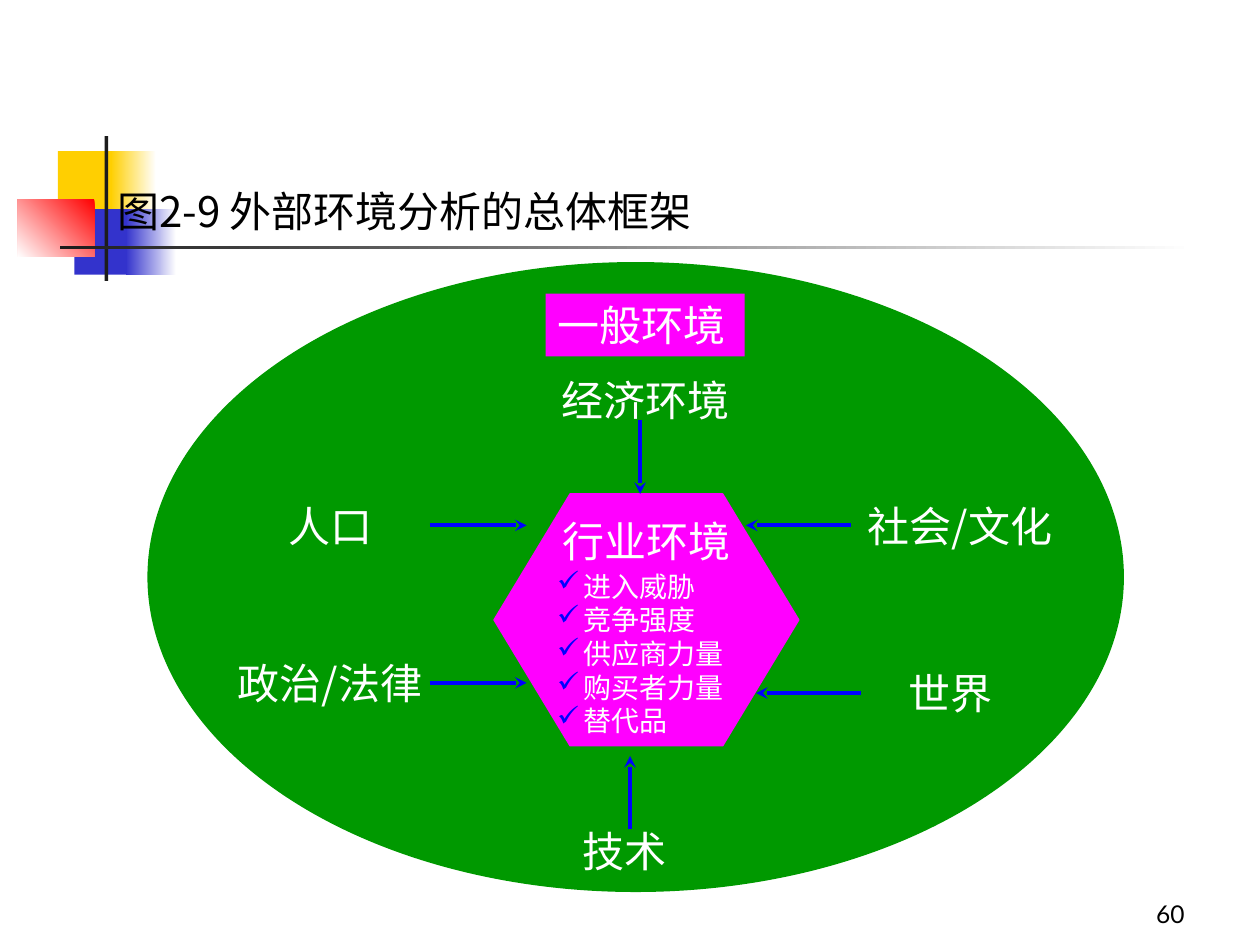
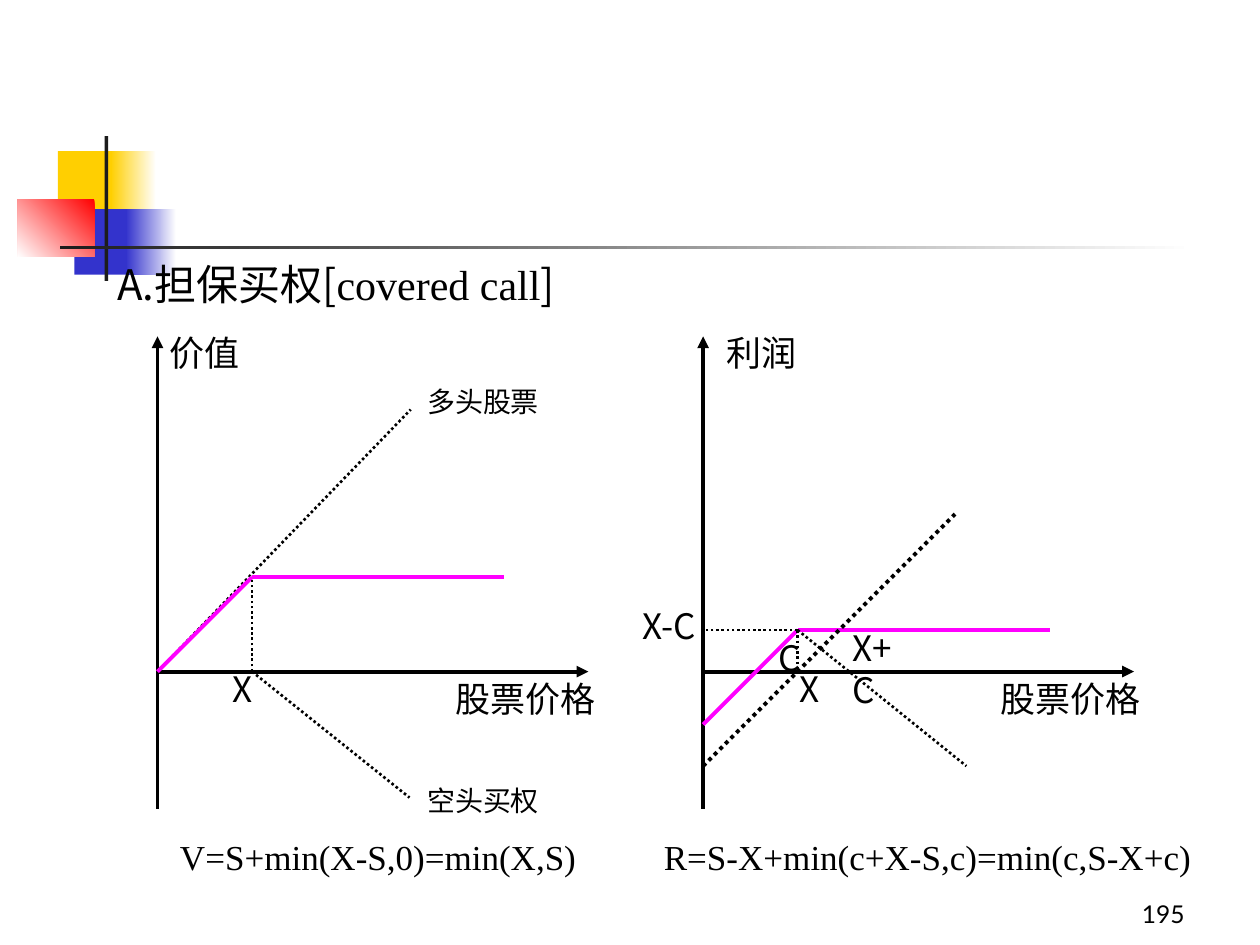
from dataclasses import dataclass

from lxml import etree
from pptx import Presentation
from pptx.dml.color import RGBColor
from pptx.enum.dml import MSO_LINE
from pptx.enum.shapes import MSO_CONNECTOR, MSO_SHAPE
from pptx.enum.text import MSO_ANCHOR, MSO_AUTO_SIZE, PP_ALIGN
from pptx.oxml.ns import qn
from pptx.util import Inches, Pt

RECTANGLE, ELLIPSE = MSO_SHAPE.RECTANGLE, MSO_SHAPE.OVAL
ROUNDED, HEXAGON = MSO_SHAPE.ROUNDED_RECTANGLE, MSO_SHAPE.HEXAGON
STRAIGHT, DOTTED = MSO_CONNECTOR.STRAIGHT, MSO_LINE.ROUND_DOT
LEFT, CENTER, RIGHT = PP_ALIGN.LEFT, PP_ALIGN.CENTER, PP_ALIGN.RIGHT
TOP, MIDDLE, BOTTOM = MSO_ANCHOR.TOP, MSO_ANCHOR.MIDDLE, MSO_ANCHOR.BOTTOM
NO_AUTOFIT = MSO_AUTO_SIZE.NONE
RIGHT_SIDE = 3

LATO, CJK, SERIF = "Lato", "Noto Sans CJK SC", "Times New Roman"
BLACK, WHITE, INK = "000000", "FFFFFF", "1C1C1C"
YELLOW, INDIGO, RED = "FFCF01", "3333CC", "FF0000"
GREEN, MAGENTA, BLUE = "009900", "FF00FF", "0000FF"


@dataclass
class Area:
    left: float
    top: float
    width: float
    height: float

    def lengths(self) -> tuple:
        return tuple(Inches(value) for value in
                     (self.left, self.top, self.width, self.height))


@dataclass
class Band:
    """A template block; a second colour makes it a gradient."""
    area: Area
    color: str
    end_color: str = ""
    angle: int = 180


@dataclass
class Factor:
    """A label of the general environment and its arrow to the hexagon."""
    text: str
    left: float
    top: float
    start: tuple
    end: tuple
    font: str = LATO
    joined: bool = False


@dataclass
class Stroke:
    start: tuple
    end: tuple
    color: str = BLACK
    width: float = 2.25
    dotted: bool = False
    arrow: str = ""


@dataclass
class Label:
    text: str
    area: Area
    size: int = 20
    font: str = CJK
    align: PP_ALIGN = LEFT


BANDS = [
    Band(Area(0.46, 1.2, 0.48, 0.52), YELLOW),
    Band(Area(0.88, 1.2, 0.36, 0.52), WHITE, YELLOW),
    Band(Area(0.59, 1.66, 0.46, 0.52), INDIGO),
    Band(Area(1, 1.66, 0.4, 0.52), WHITE, INDIGO),
    Band(Area(0.14, 1.58, 0.61, 0.46), RED, WHITE, 225),
    Band(Area(0.83, 1.08, 0.03, 1.15), INK),
    Band(Area(0.48, 1.95, 9, 0.03), WHITE, INK),
]
PAGE_NUMBER = Area(7.42, 6.92, 2.08, 0.5)

FACTORS = [
    Factor("经济环境", 4.33, 2.92, (5.08, 3.33), (5.08, 3.92)),
    Factor("人口", 1.83, 3.92, (3.42, 4.17), (4.18, 4.17), joined=True),
    Factor("政治/法律", 1.83, 5.17, (3.42, 5.42), (4.18, 5.42), CJK, True),
    Factor("社会/文化", 6.83, 3.92, (6.75, 4.17), (5.92, 4.17), CJK),
    Factor("世界", 6.75, 5.25, (6.83, 5.5), (6, 5.5)),
    Factor("技术", 4.17, 6.5, (5, 6.58), (5, 6)),
]
FORCES = ["进入威胁", "竞争强度", "供应商力量", "购买者力量", "替代品"]

AXIS_Y = 5.33
VALUE_X, PROFIT_X = 1.25, 5.58
VALUE_STRIKE, PROFIT_STRIKE = 2, 6.33
PAYOFFS = [
    Stroke((VALUE_X, AXIS_Y), (3.26, 3.25), width=1.5, dotted=True),
    Stroke((VALUE_X, AXIS_Y), (VALUE_STRIKE, 4.58), MAGENTA),
    Stroke((VALUE_STRIKE, 4.58), (4, 4.58), MAGENTA),
    Stroke((VALUE_STRIKE, AXIS_Y), (VALUE_STRIKE, 4.58), width=1.5, dotted=True),
    Stroke((VALUE_STRIKE, AXIS_Y), (3.25, 6.33), width=1.5, dotted=True),
    Stroke((PROFIT_STRIKE, 5), (8.33, 5), MAGENTA),
    Stroke((PROFIT_X, 5.75), (PROFIT_STRIKE, 5), MAGENTA),
    Stroke((PROFIT_STRIKE, 5), (PROFIT_X, 5), width=1.5, dotted=True),
    Stroke((PROFIT_STRIKE, 5), (PROFIT_STRIKE, AXIS_Y), width=1.5, dotted=True),
    Stroke((PROFIT_X, 6.08), (7.58, 4.08), dotted=True),
    Stroke((PROFIT_STRIKE, 5), (7.67, 6.08), width=1.5, dotted=True),
]
LABELS = [
    Label("价值", Area(1.25, 2.58, 0.92, 0.44), font=LATO),
    Label("利润", Area(5.67, 2.58, 0.92, 0.44), font=LATO),
    Label("多头股票", Area(3.25, 3, 1.17, 0.37), 16, LATO, CENTER),
    Label("空头买权", Area(3.25, 6.17, 1.17, 0.37), 16, LATO, CENTER),
    Label("X", Area(1.75, 5.25, 0.42, 0.44)),
    Label("C", Area(6.08, 5, 0.33, 0.44)),
    Label("X", Area(6.25, 5.25, 0.42, 0.44)),
    Label("X-C", Area(5, 4.75, 0.67, 0.44)),
    Label("X+C", Area(6.67, 4.92, 0.67, 0.77)),
    Label("V=S+min(X-S,0)=min(X,S)", Area(1.33, 6.58, 3.75, 0.44), font=SERIF),
    Label("R=S-X+min(c+X-S,c)=min(c,S-X+c)", Area(5.17, 6.58, 4.42, 0.44),
          font=SERIF),
]


def rgb(color: str) -> RGBColor:
    return RGBColor.from_string(color)


def write(para, text: str, *, size: int = 24, font: str = LATO,
          color: str = BLACK, align: PP_ALIGN = LEFT) -> None:
    """Append a formatted span to the paragraph."""
    para.alignment = align
    span = para.add_run()
    span.text = text
    span.font.size = Pt(size)
    span.font.color.rgb = rgb(color)
    span.font.name = font
    east_asian = etree.SubElement(span._r.get_or_add_rPr(), qn("a:ea"))
    east_asian.set("typeface", CJK)


def set_frame(frame, anchor: MSO_ANCHOR, wrap: bool = True) -> None:
    frame.auto_size = NO_AUTOFIT
    frame.word_wrap = wrap
    frame.vertical_anchor = anchor
    frame.margin_left = frame.margin_right = Inches(0.1)
    frame.margin_top = frame.margin_bottom = Inches(0.05)


def add_bullet(para) -> None:
    properties = para._p.get_or_add_pPr()
    properties.set("marL", str(Inches(0.21)))
    properties.set("indent", str(-Inches(0.21)))
    color = etree.SubElement(properties, qn("a:buClr"))
    etree.SubElement(color, qn("a:srgbClr")).set("val", BLUE)
    etree.SubElement(properties, qn("a:buChar")).set("char", "✓")


def add_block(page, kind: MSO_SHAPE, area: Area, color: str,
              anchor: MSO_ANCHOR = MIDDLE, wrap: bool = False):
    block = page.shapes.add_shape(kind, *area.lengths())
    block.shadow.inherit = False
    block.fill.solid()
    block.fill.fore_color.rgb = rgb(color)
    block.line.fill.background()
    set_frame(block.text_frame, anchor, wrap)
    return block


def add_band(page, band: Band) -> None:
    block = add_block(page, RECTANGLE, band.area, band.color)
    if band.end_color:
        block.fill.gradient()
        block.fill.gradient_angle = band.angle
        for stop, color in zip(block.fill.gradient_stops,
                               (band.color, band.end_color)):
            stop.color.rgb = rgb(color)


def add_label(page, label: Label, anchor: MSO_ANCHOR = TOP) -> None:
    box = page.shapes.add_textbox(*label.area.lengths())
    set_frame(box.text_frame, anchor)
    write(box.text_frame.paragraphs[0], label.text, size=label.size,
          font=label.font, align=label.align)


def add_stroke(page, stroke: Stroke):
    ends = [Inches(value) for value in (*stroke.start, *stroke.end)]
    connector = page.shapes.add_connector(STRAIGHT, *ends)
    connector.line.color.rgb = rgb(stroke.color)
    connector.line.width = Pt(stroke.width)
    if stroke.dotted:
        connector.line.dash_style = DOTTED
    properties = connector._element.spPr
    if stroke.arrow:
        outline = properties.find(qn("a:ln"))
        etree.SubElement(outline, qn("a:tailEnd")).set("type", stroke.arrow)
    etree.SubElement(properties, qn("a:effectLst"))
    return connector


def add_page(deck, number: str, title_area: Area, title_spans: list):
    """Add a page with the template bands, its title and its number."""
    page = deck.slides.add_slide(deck.slide_layouts[5])
    for band in BANDS:
        add_band(page, band)
    title = page.shapes.title
    title.left, title.top, title.width, title.height = title_area.lengths()
    set_frame(title.text_frame, TOP)
    for text, font in title_spans:
        write(title.text_frame.paragraphs[0], text, font=font)
    # The title lies in front of the bands.
    title.element.getparent().append(title.element)
    add_label(page, Label(number, PAGE_NUMBER, 14, LATO, RIGHT), BOTTOM)
    return page


def add_industry(page) -> None:
    hexagon = add_block(page, HEXAGON, Area(3.92, 3.92, 2.42, 2), MAGENTA)
    hexagon.adjustments[0] = 0.302
    hexagon.line.color.rgb = rgb(MAGENTA)
    hexagon.line.width = Pt(0.75)
    frame = hexagon.text_frame
    frame.margin_top = Inches(0.58)
    for index, force in enumerate(FORCES):
        para = frame.add_paragraph() if index else frame.paragraphs[0]
        add_bullet(para)
        write(para, force, size=16, color=WHITE)
    heading = add_block(page, RECTANGLE, Area(4.42, 4.08, 1.42, 0.42), MAGENTA)
    write(heading.text_frame.paragraphs[0], "行业环境", color=WHITE, align=CENTER)


def build_environment(deck) -> None:
    page = add_page(deck, "60", Area(0.83, 1.42, 5.42, 0.5),
                    [("图2-9 外部环境分析的总体框架", CJK)])
    add_block(page, ELLIPSE, Area(1.17, 2.08, 7.75, 5), GREEN)
    general = add_block(page, RECTANGLE, Area(4.33, 2.33, 1.58, 0.5), MAGENTA,
                        TOP, True)
    write(general.text_frame.paragraphs[0], "一般环境", color=WHITE)
    boxes = []
    for factor in FACTORS:
        box = add_block(page, ROUNDED, Area(factor.left, factor.top, 1.58, 0.5),
                        GREEN)
        write(box.text_frame.paragraphs[0], factor.text, font=factor.font,
              color=WHITE, align=CENTER)
        boxes.append(box)
    add_industry(page)
    for factor, box in zip(FACTORS, boxes):
        arrow = add_stroke(page, Stroke(factor.start, factor.end, BLUE,
                                        arrow="stealth"))
        if factor.joined:
            arrow.begin_connect(box, RIGHT_SIDE)


def build_covered_call(deck) -> None:
    page = add_page(deck, "195", Area(0.83, 2, 8.33, 0.5),
                    [("A.担保买权[", CJK), ("covered call", SERIF), ("]", CJK)])
    for x in (VALUE_X, PROFIT_X):
        add_stroke(page, Stroke((x, AXIS_Y), (x + 3.42, AXIS_Y), arrow="triangle"))
        add_stroke(page, Stroke((x, 6.42), (x, 2.67), arrow="triangle"))
        add_label(page, Label("股票价格", Area(x + 2.17, AXIS_Y, 1.5, 0.44),
                              font=LATO, align=CENTER))
    for payoff in PAYOFFS:
        add_stroke(page, payoff)
    for label in LABELS:
        add_label(page, label)


def main() -> None:
    deck = Presentation()
    deck.slide_width, deck.slide_height = Inches(10), Inches(7.5)
    build_environment(deck)
    build_covered_call(deck)
    deck.save("out.pptx")


if __name__ == "__main__":
    main()
